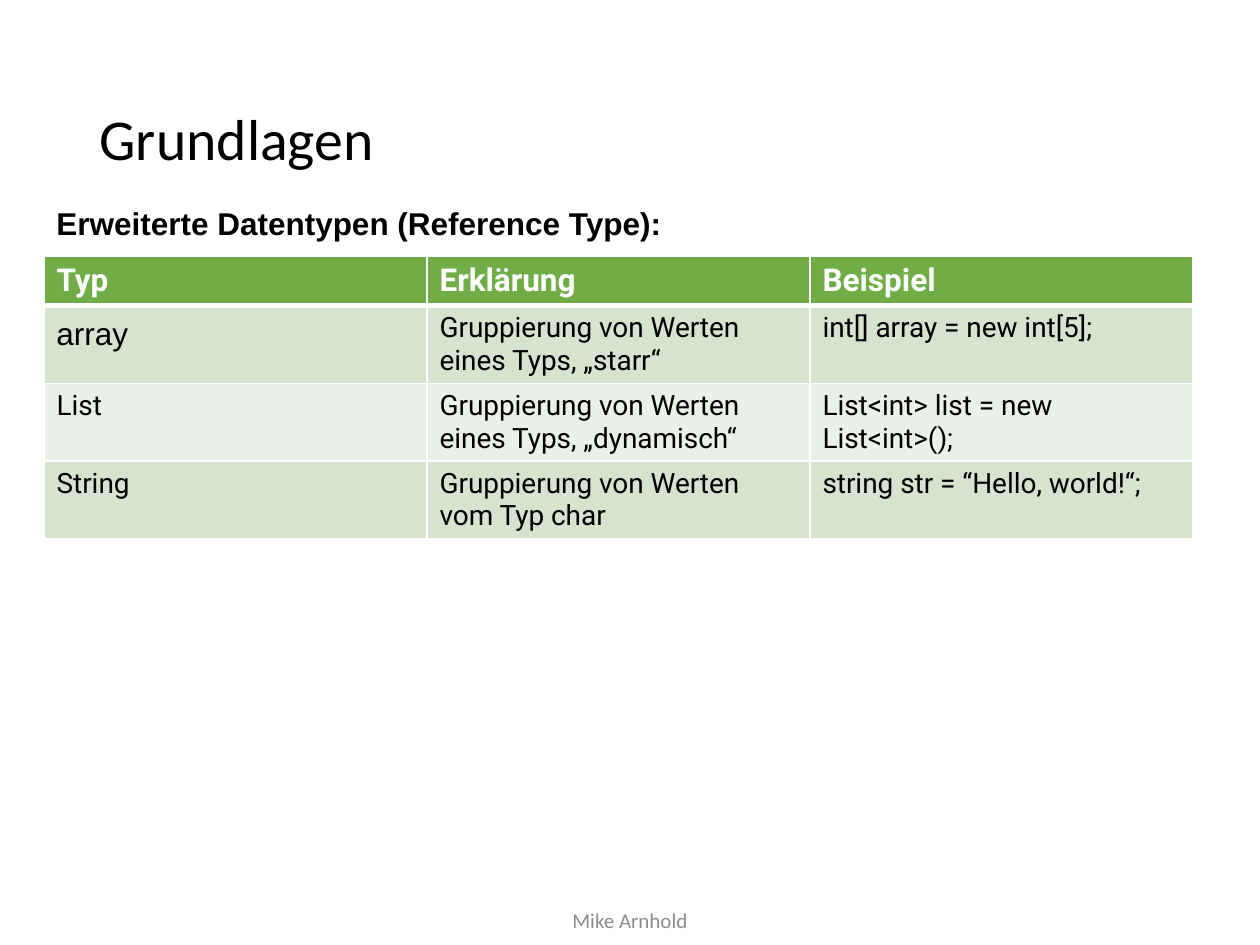
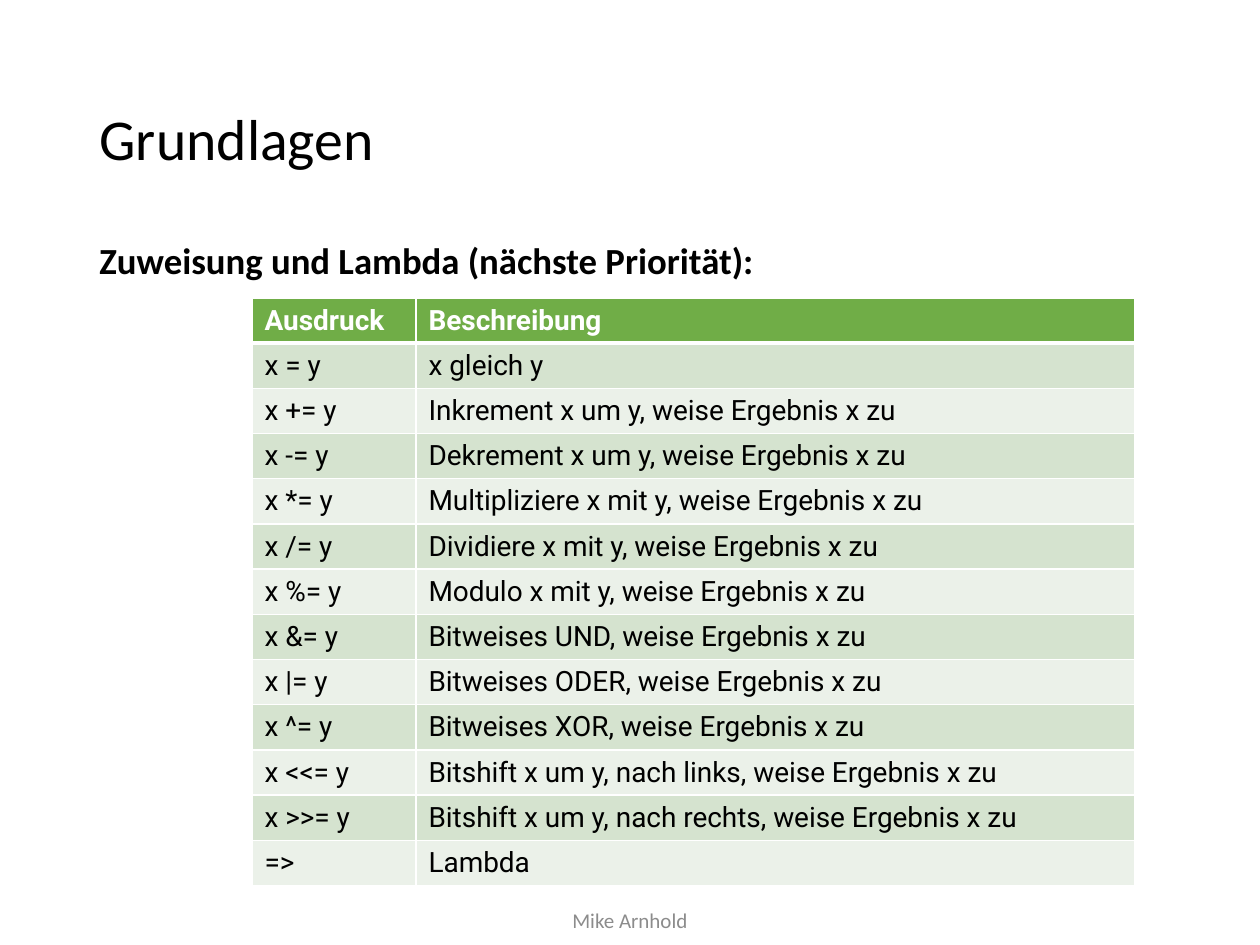
"""Build two slides on C# basics: reference types and assignment operators."""
from dataclasses import dataclass

from lxml.etree import SubElement
from pptx import Presentation
from pptx.dml.color import RGBColor
from pptx.enum.text import MSO_ANCHOR, MSO_AUTO_SIZE, PP_ALIGN
from pptx.oxml.ns import qn
from pptx.presentation import Presentation as Deck
from pptx.slide import Slide
from pptx.text.text import TextFrame
from pptx.util import Emu, Pt

PX_PER_INCH = 126
COLORS = {
    "text": "000000",
    "footer": "8C8C8C",
    "white": "FFFFFF",
    "header": "70AD47",
    "band_dark": "D5E3CF",
    "band_light": "EBF1E9",
}


@dataclass(frozen=True)
class Box:
    left: int
    top: int
    width: int
    height: int

    def emu(self) -> tuple[Emu, ...]:
        return tuple(px(n) for n in (self.left, self.top, self.width, self.height))


@dataclass(frozen=True)
class Style:
    font: str
    size: int
    color: str = "text"
    bold: bool = False
    align: PP_ALIGN = PP_ALIGN.LEFT
    line_spacing: float = 1.0
    space_before: int = 0


@dataclass(frozen=True)
class Line:
    text: str
    style: Style


@dataclass(frozen=True)
class TableSpec:
    left: int
    top: int
    columns: tuple[int, ...]
    row_height: int
    header_size: int
    rows: tuple[tuple[str, ...], ...]


@dataclass(frozen=True)
class Topic:
    heading_box: Box
    heading_lines: tuple[Line, ...]
    table: TableSpec


TITLE_BOX = Box(87, 50, 1086, 183)
FOOTER_BOX = Box(417, 901, 426, 39)
TITLE = Line("Grundlagen", Style("Calibri", 33, line_spacing=0.9))
FOOTER = Line("Mike Arnhold", Style("Calibri", 12, "footer", align=PP_ALIGN.CENTER))
BODY_SIZE = 16

TOPICS = (
    Topic(
        Box(44, 198, 1150, 57),
        (
            Line("Erweiterte Datentypen (Reference Type):",
                 Style("Arial", 18, bold=True, space_before=2)),
            Line("array", Style("Arial", 18, space_before=41)),
        ),
        TableSpec(44, 256, (383, 383, 383), 47, 18, (
            ("Typ", "Erklärung", "Beispiel"),
            ("", "Gruppierung von Werten eines Typs, „starr“", "int[] array = new int[5];"),
            ("List", "Gruppierung von Werten eines Typs, „dynamisch“",
             "List<int> list = new List<int>();"),
            ("String", "Gruppierung von Werten vom Typ char", "string str = “Hello, world!“;"),
        )),
    ),
    Topic(
        Box(87, 237, 1150, 724),
        (Line("Zuweisung und Lambda (nächste Priorität):",
              Style("Calibri", 21, bold=True, line_spacing=0.9)),),
        TableSpec(252, 298, (164, 719), 45, 16, (
            ("Ausdruck", "Beschreibung"),
            ("x = y", "x gleich y"),
            ("x += y", "Inkrement x um y, weise Ergebnis x zu"),
            ("x -= y", "Dekrement x um y, weise Ergebnis x zu"),
            ("x *= y", "Multipliziere x mit y, weise Ergebnis x zu"),
            ("x /= y", "Dividiere x mit y, weise Ergebnis x zu"),
            ("x %= y", "Modulo x mit y, weise Ergebnis x zu"),
            ("x &= y", "Bitweises UND, weise Ergebnis x zu"),
            ("x |= y", "Bitweises ODER, weise Ergebnis x zu"),
            ("x ^= y", "Bitweises XOR, weise Ergebnis x zu"),
            ("x <<= y", "Bitshift x um y, nach links, weise Ergebnis x zu"),
            ("x >>= y", "Bitshift x um y, nach rechts, weise Ergebnis x zu"),
            ("=>", "Lambda"),
        )),
    ),
)


def px(length: int) -> Emu:
    return Emu(round(length * 914400 / PX_PER_INCH))


def rgb(name: str) -> RGBColor:
    return RGBColor.from_string(COLORS[name])


def write_lines(frame: TextFrame, lines: tuple[Line, ...]) -> None:
    for index, line in enumerate(lines):
        paragraph = frame.add_paragraph() if index else frame.paragraphs[0]
        style = line.style
        paragraph.text = line.text
        paragraph.alignment = style.align
        paragraph.line_spacing = style.line_spacing
        paragraph.space_before = Pt(style.space_before)
        paragraph.font.name = style.font
        paragraph.font.size = Pt(style.size)
        paragraph.font.bold = style.bold
        paragraph.font.color.rgb = rgb(style.color)


def add_title(slide: Slide) -> None:
    title = slide.shapes.title
    title.left, title.top, title.width, title.height = TITLE_BOX.emu()
    title.text_frame.auto_size = MSO_AUTO_SIZE.NONE
    title.text_frame.vertical_anchor = MSO_ANCHOR.MIDDLE
    write_lines(title.text_frame, (TITLE,))


def add_text(slide: Slide, box: Box, lines: tuple[Line, ...],
             anchor: MSO_ANCHOR = MSO_ANCHOR.TOP) -> None:
    frame = slide.shapes.add_textbox(*box.emu()).text_frame
    frame.word_wrap = True
    frame.vertical_anchor = anchor
    write_lines(frame, lines)


def set_borders(cell, widths: dict[str, int]) -> None:
    properties = cell._tc.get_or_add_tcPr()
    for side, width in widths.items():
        border = SubElement(properties, qn(f"a:{side}"), w=str(Pt(width)))
        fill = SubElement(border, qn("a:solidFill"))
        SubElement(fill, qn("a:srgbClr"), val=COLORS["white"])


def add_table(slide: Slide, spec: TableSpec) -> None:
    box = Box(spec.left, spec.top, sum(spec.columns), spec.row_height * len(spec.rows))
    table = slide.shapes.add_table(len(spec.rows), len(spec.columns), *box.emu()).table
    table.horz_banding = False
    for column, width in zip(table.columns, spec.columns):
        column.width = px(width)
    header_style = Style("Roboto", spec.header_size, "white", bold=True)
    body_style = Style("Roboto", BODY_SIZE)
    for row_index, texts in enumerate(spec.rows):
        is_header = row_index == 0
        band = "header" if is_header else ("band_light", "band_dark")[row_index % 2]
        style = header_style if is_header else body_style
        top = 3 if row_index == 1 else 1
        bottom = 3 if is_header else 1
        for column_index, text in enumerate(texts):
            cell = table.cell(row_index, column_index)
            set_borders(cell, {"lnL": 1, "lnR": 1, "lnT": top, "lnB": bottom})
            cell.fill.solid()
            cell.fill.fore_color.rgb = rgb(band)
            write_lines(cell.text_frame, (Line(text, style),))


def add_topic(presentation: Deck, topic: Topic) -> None:
    slide = presentation.slides.add_slide(presentation.slide_layouts[5])
    add_title(slide)
    add_table(slide, topic.table)
    add_text(slide, FOOTER_BOX, (FOOTER,), MSO_ANCHOR.MIDDLE)
    add_text(slide, topic.heading_box, topic.heading_lines)


def main() -> None:
    presentation = Presentation()
    presentation.slide_width = px(1260)
    presentation.slide_height = px(945)
    for topic in TOPICS:
        add_topic(presentation, topic)
    presentation.save("out.pptx")


if __name__ == "__main__":
    main()
